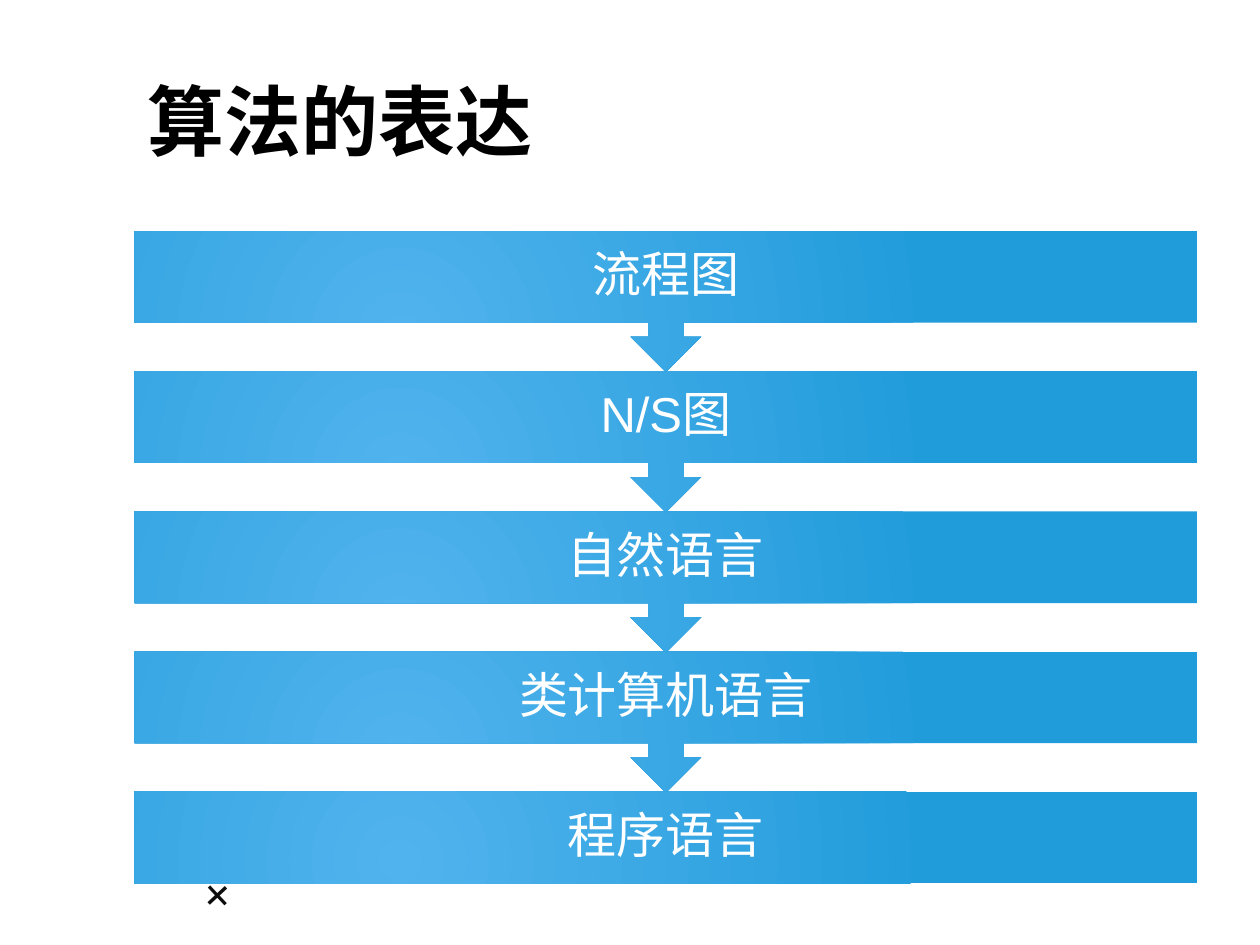
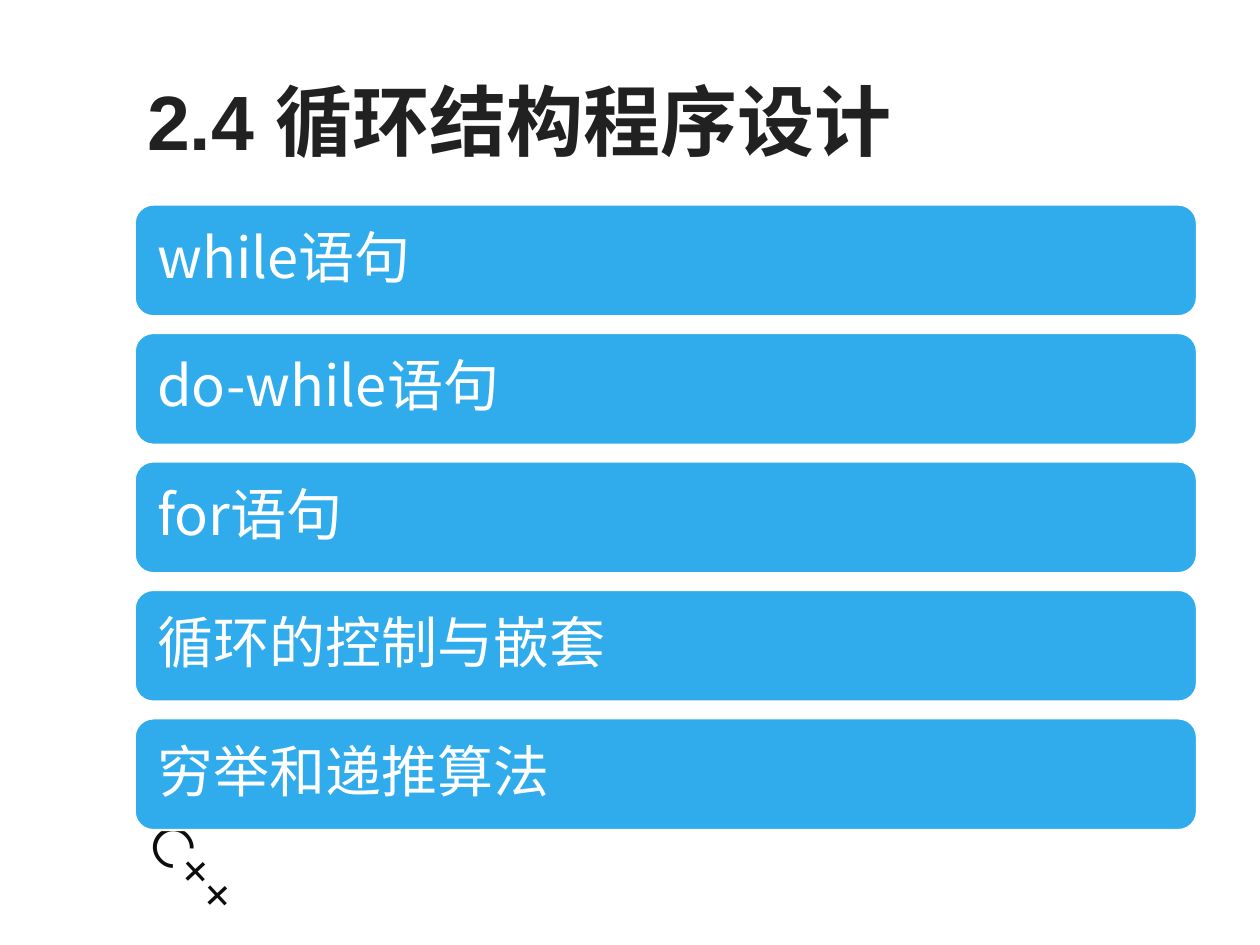
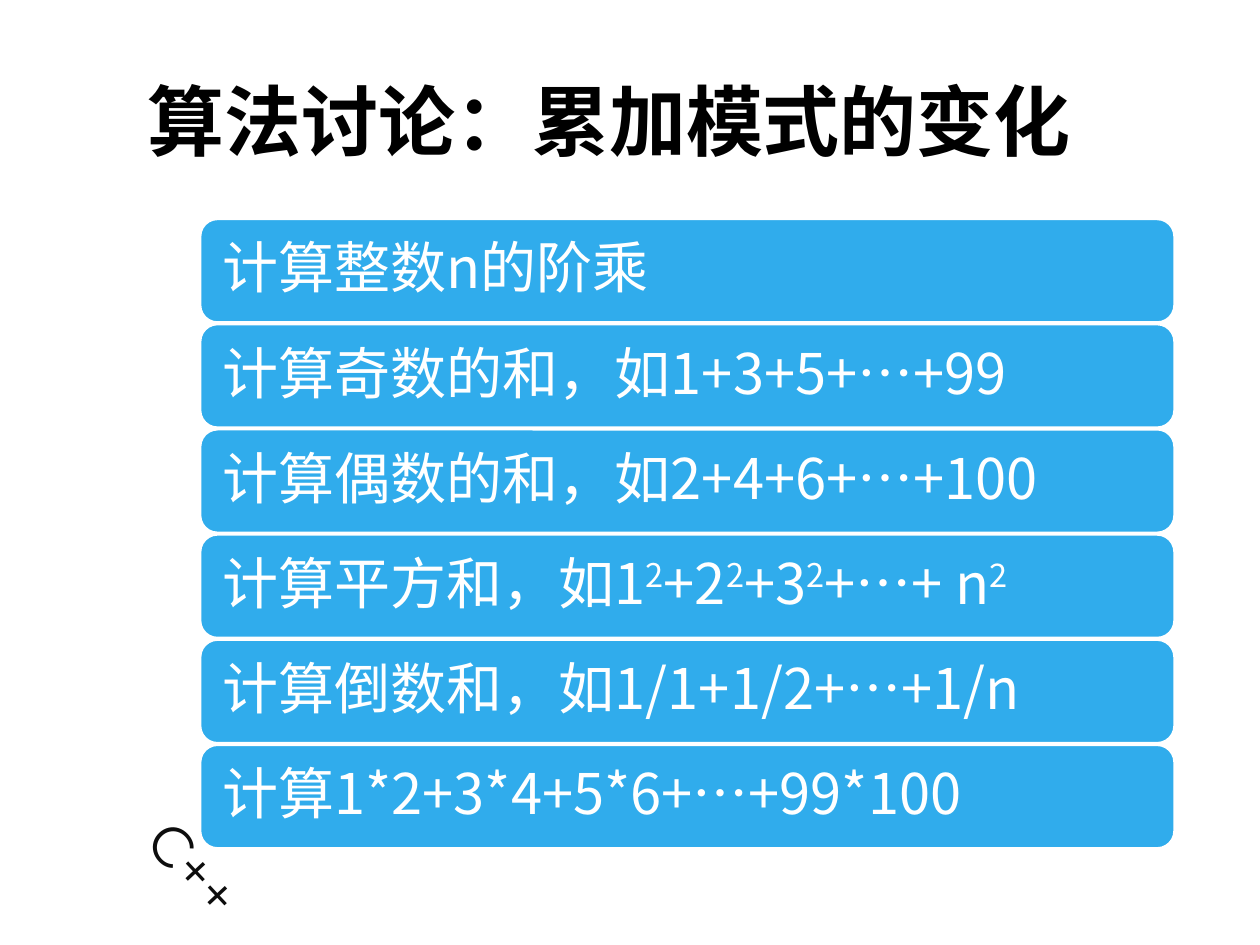
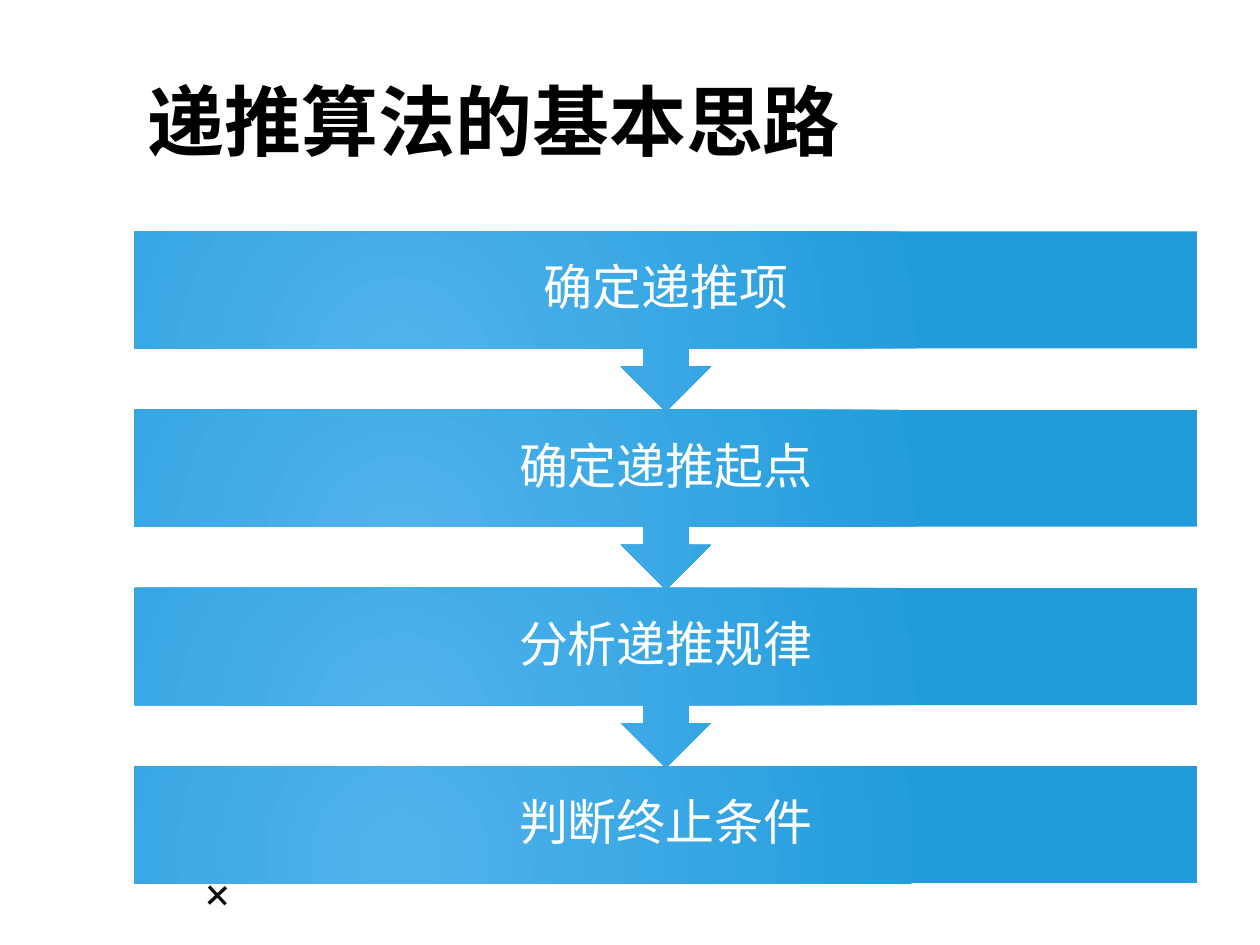
from lxml import etree
from pptx import Presentation
from pptx.dml.color import RGBColor
from pptx.enum.shapes import MSO_SHAPE
from pptx.enum.text import MSO_ANCHOR, MSO_AUTO_SIZE, PP_ALIGN
from pptx.oxml.ns import qn
from pptx.util import Pt

RECT, ROUND = MSO_SHAPE.RECTANGLE, MSO_SHAPE.ROUNDED_RECTANGLE
CALLOUT = MSO_SHAPE.UP_ARROW_CALLOUT
MIDDLE, TOP = MSO_ANCHOR.MIDDLE, MSO_ANCHOR.TOP
LEFT, CENTER = PP_ALIGN.LEFT, PP_ALIGN.CENTER
GROW = MSO_AUTO_SIZE.SHAPE_TO_FIT_TEXT

BLACK = RGBColor(0, 0, 0)
DARK = RGBColor(0x21, 0x21, 0x21)
INK = RGBColor(0x0D, 0x0D, 0x0D)
WHITE = RGBColor(255, 255, 255)
BLUE = RGBColor(0x30, 0xAC, 0xEC)
LIGHT = RGBColor(0x51, 0xB3, 0xED)
DEEP = RGBColor(0x21, 0x9C, 0xDB)

SANS, CJK, LOGO = "Arial", "Noto Sans CJK SC", "Montserrat"
EDGE, SPAN = 77, 607
HEAD = (EDGE, 21, SPAN, 95)
TAG = (67.7, 488.2, 116, 46)

SLIDES = [
    dict(title="算法的表达", font=SANS, color=BLACK, kind="flow", text=SANS,
         top=132, pitch=80.1, high=80.6,
         items=["流程图", "N/S图", "自然语言", "类计算机语言", "程序语言"]),
    dict(title="2.4 循环结构程序设计", font=SANS, color=DARK, kind="list",
         left=EDGE, wide=SPAN, top=116.9, pitch=73.4, high=63.8,
         items=["while语句", "do-while语句", "for语句",
                "循环的控制与嵌套", "穷举和递推算法"]),
    dict(title="算法讨论：累加模式的变化", font=CJK, color=BLACK, kind="list",
         left=114.5, wide=556.6, top=125.2, pitch=60.1, high=59,
         items=["计算整数n的阶乘",
                "计算奇数的和，如1+3+5+…+99",
                "计算偶数的和，如2+4+6+…+100",
                "计算平方和，如1|2|+2|2|+3|2|+…+ n|2",
                "计算倒数和，如1/1+1/2+…+1/n",
                "计算1*2+3*4+5*6+…+99*100"]),
    dict(title="递推算法的基本思路", font=SANS, color=BLACK, kind="flow", text=CJK,
         top=132.2, pitch=101.9, high=102.9,
         items=["确定递推项", "确定递推起点", "分析递推规律", "判断终止条件"]),
]


def label(slide, area, text, size, font, color, bold=False, align=LEFT,
          pad=None, anchor=MIDDLE, line=None):
    box = slide.shapes.add_textbox(*map(Pt, area))
    frame = box.text_frame
    frame.word_wrap = True
    frame.vertical_anchor = anchor
    if pad is not None:
        frame.margin_left = frame.margin_right = Pt(pad)
        frame.margin_top = frame.margin_bottom = Pt(pad)
    para = frame.paragraphs[0]
    para.alignment = align
    para.line_spacing = line
    face = para.font
    face.size, face.name, face.bold = Pt(size), font, bold
    face.color.rgb = color
    props = para._p.pPr.find(qn("a:defRPr"))
    etree.SubElement(props, qn("a:ea"), typeface=CJK)
    for i, part in enumerate(text.split("|")):
        run = para.add_run()
        run.text = part
        if i % 2:
            run._r.get_or_add_rPr().set("baseline", "30000")
    return box


def panel(slide, kind, area):
    shape = slide.shapes.add_shape(kind, *map(Pt, area))
    shape.shadow.inherit = False
    return shape


def glow(shape):
    shape.line.fill.background()
    shape.fill.gradient()
    for stop, color in zip(shape.fill.gradient_stops, (LIGHT, DEEP)):
        stop.color.rgb = color
    grad = shape._element.spPr.find(qn("a:gradFill"))
    grad.remove(grad.find(qn("a:lin")))
    way = etree.SubElement(grad, qn("a:path"))
    way.set("path", "circle")
    etree.SubElement(way, qn("a:fillToRect"),
                     l="50000", t="100000", r="100000", b="50000")


def flow(slide, data):
    tall = data["high"] * 0.65
    last = len(data["items"]) - 1
    for i, text in reversed(list(enumerate(data["items"]))):
        top = data["top"] + i * data["pitch"]
        area = (EDGE, top, SPAN, tall)
        if i == last:
            step = panel(slide, RECT, area)
        else:
            step = panel(slide, CALLOUT, (EDGE, top, SPAN, data["high"]))
            step.rotation = 180
        glow(step)
        label(slide, area, text, 28, data["text"], WHITE,
              align=CENTER, pad=15.7, line=0.9)


def rows(slide, data):
    left, wide, high = data["left"], data["wide"], data["high"]
    gap = high * 0.05
    for i, text in enumerate(data["items"]):
        top = data["top"] + i * data["pitch"]
        bar = panel(slide, ROUND, (left, top, wide, high))
        bar.fill.solid()
        bar.fill.fore_color.rgb = BLUE
        bar.line.color.rgb = WHITE
        bar.line.width = Pt(1.25)
        label(slide, (left + gap, top + gap, wide - 2 * gap, high - 2 * gap),
              text, 32, CJK, WHITE, pad=9.6, line=0.9)


def main():
    deck = Presentation()
    deck.slide_width, deck.slide_height = Pt(720), Pt(540)
    draw = {"flow": flow, "list": rows}
    for data in SLIDES:
        slide = deck.slides.add_slide(deck.slide_layouts[6])
        tag = label(slide, TAG, "C++", 32, LOGO, INK, anchor=TOP)
        tag.text_frame.auto_size = GROW
        tag.rotation = 46.9
        label(slide, HEAD, data["title"], 44, data["font"], data["color"], bold=True)
        draw[data["kind"]](slide, data)
    deck.save("out.pptx")


if __name__ == "__main__":
    main()
